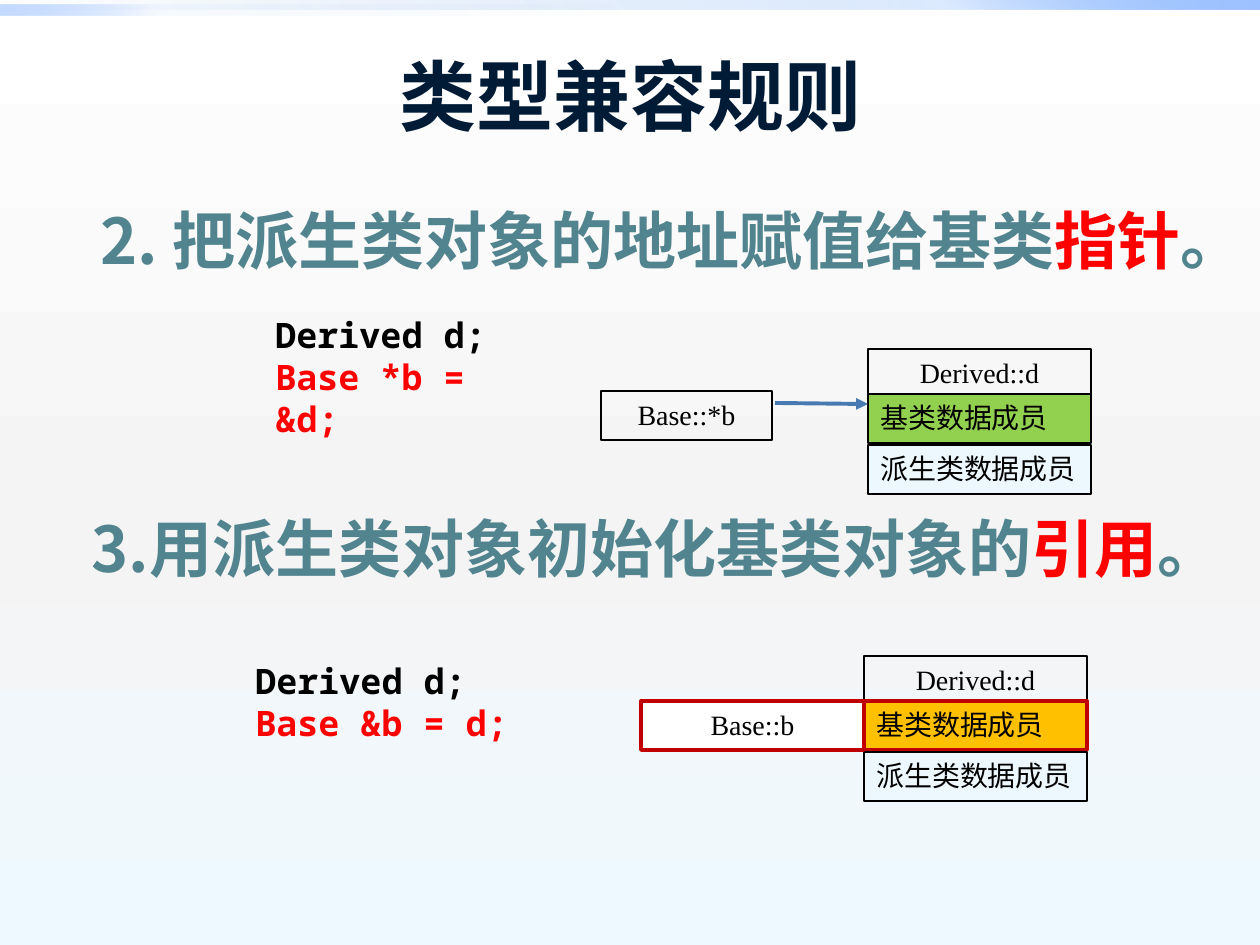
from lxml import etree
from pptx import Presentation
from pptx.dml.color import RGBColor
from pptx.enum.shapes import MSO_CONNECTOR, MSO_SHAPE
from pptx.enum.text import MSO_ANCHOR, PP_ALIGN
from pptx.oxml.ns import qn
from pptx.util import Pt

PX = 914400 / 126
COLORS = {
    "title": "001B36", "heading": "51848E", "red": "FF0000", "black": "000000",
    "white": "FFFFFF", "green": "92D050", "amber": "FFC000", "pale": "EDF8FE",
    "crimson": "C00000", "arrow": "477AB1",
}
CJK, MONO, SERIF = "Noto Sans CJK SC", "Noto Sans Mono", "Times New Roman"
ROW_W, ROW_H = 223, 49


def px(*values):
    return [round(v * PX) for v in values]


def rgb(name):
    return RGBColor.from_string(COLORS[name])


def set_gradient(fill, root, stops, angle):
    """Give a fill gradient stops of (position %, colour, opacity %)."""
    fill.gradient()
    grad = next(root.iter(qn("a:gradFill")))
    stop_list = grad.find(qn("a:gsLst"))
    for old in list(stop_list):
        stop_list.remove(old)
    for pos, color, opacity in stops:
        gs = etree.SubElement(stop_list, qn("a:gs"), pos=str(pos * 1000))
        clr = etree.SubElement(gs, qn("a:srgbClr"), val=color)
        etree.SubElement(clr, qn("a:alpha"), val=str(opacity * 1000))
    grad.find(qn("a:lin")).set("ang", str(angle * 60000))


def add_band(s, box, stops, angle):
    sp = s.shapes.add_shape(MSO_SHAPE.RECTANGLE, *px(*box))
    sp.shadow.inherit = False
    sp.line.fill.background()
    set_gradient(sp.fill, sp._element, stops, angle)


def add_run(p, text, size, font, color, bold=False):
    r = p.add_run()
    r.text = text
    r.font.size, r.font.name, r.font.bold = Pt(size), font, bold
    r.font.color.rgb = rgb(color)
    latin = r._r.rPr.find(qn("a:latin"))
    latin.addnext(latin.makeelement(qn("a:ea"), typeface=CJK))


def add_text(s, box):
    tf = s.shapes.add_textbox(*px(*box)).text_frame
    tf.word_wrap = True
    return tf


def add_title(s, text):
    tf = add_text(s, (95, 16, 1071, 158))
    tf.vertical_anchor = MSO_ANCHOR.MIDDLE
    tf.paragraphs[0].alignment = PP_ALIGN.CENTER
    add_run(tf.paragraphs[0], text, 44, "Roboto", "title", True)


def add_heading(s, box, runs):
    p = add_text(s, box).paragraphs[0]
    p.line_spacing = 0.9
    pPr = p._p.get_or_add_pPr()
    pPr.set("marL", str(px(44)[0]))
    pPr.set("indent", "0")
    for text, font, color in runs:
        add_run(p, text, 36, font, color, True)


def add_code(s, box, declaration, binding):
    tf = add_text(s, box)
    add_run(tf.paragraphs[0], declaration, 20, MONO, "black", True)
    add_run(tf.add_paragraph(), binding, 20, MONO, "red", True)


def add_cell(s, x, y, text, w=ROW_W, fill=None, line="black", weight=0.75,
             align=PP_ALIGN.LEFT):
    sp = s.shapes.add_shape(MSO_SHAPE.RECTANGLE, *px(x, y, w, ROW_H))
    sp.shadow.inherit = False
    if fill:
        sp.fill.solid()
        sp.fill.fore_color.rgb = rgb(fill)
    else:
        sp.fill.background()
    sp.line.color.rgb = rgb(line)
    sp.line.width = Pt(weight)
    tf = sp.text_frame
    tf.word_wrap = True
    tf.vertical_anchor = MSO_ANCHOR.TOP
    tf.paragraphs[0].alignment = align
    add_run(tf.paragraphs[0], text, 16, SERIF, "black")


def add_object(s, x, y, base_fill, line="black", weight=0.75):
    """Memory layout of the derived object: name, base part, derived part."""
    add_cell(s, x, y, "Derived::d", align=PP_ALIGN.CENTER)
    add_cell(s, x, y + 45, "基类数据成员", fill=base_fill, line=line, weight=weight)
    add_cell(s, x, y + 96, "派生类数据成员", fill="pale")


def add_arrow(s, *ends):
    c = s.shapes.add_connector(MSO_CONNECTOR.STRAIGHT, *px(*ends))
    c.line.color.rgb = rgb("arrow")
    c.line.width = Pt(2.25)
    etree.SubElement(c.line._get_or_add_ln(), qn("a:tailEnd"), type="triangle")
    etree.SubElement(c._element.spPr, qn("a:effectLst"))


def main():
    prs = Presentation()
    prs.slide_width, prs.slide_height = px(1260, 945)
    s = prs.slides.add_slide(prs.slide_layouts[6])
    set_gradient(s.background.fill, s._element,
                 [(0, "FFFFFF", 100), (55, "F4F4F4", 100), (100, "EEF9FF", 100)], 90)
    add_band(s, (0, 0, 1260, 10),
             [(0, "0058B7", 0), (75, "4F95FF", 20), (100, "9EC2FF", 100)], 315)
    add_band(s, (0, 5, 630, 10),
             [(0, "0058B7", 0), (75, "4F95FF", 5), (100, "9EC2FF", 60)], 135)

    add_title(s, "类型兼容规则")
    add_heading(s, (44, 204, 1166, 79), [
        ("2. ", CJK, "heading"), ("把派生类对象的地址赋值给基类", "Cambria", "heading"),
        ("指针", "Cambria", "red"), ("。", "Cambria", "heading")])
    add_code(s, (263, 307, 295, 97), "Derived d;", "Base *b = &d;")
    add_heading(s, (35, 512, 1145, 102), [
        ("3.用派生类对象初始化基类对象的", CJK, "heading"),
        ("引用", CJK, "red"), ("。", CJK, "heading")])
    add_code(s, (243, 653, 310, 97), "Derived d;", "Base &b = d;")

    add_object(s, 864, 656, "amber", "crimson", 2.25)
    add_cell(s, 864 - ROW_W, 701, "Base::b", fill="white", line="crimson",
             weight=2.25, align=PP_ALIGN.CENTER)
    add_object(s, 868, 349, "green")
    add_cell(s, 601, 391, "Base::*b", w=171, align=PP_ALIGN.CENTER)
    add_arrow(s, 775, 403, 868, 404)
    prs.save("out.pptx")


if __name__ == "__main__":
    main()
